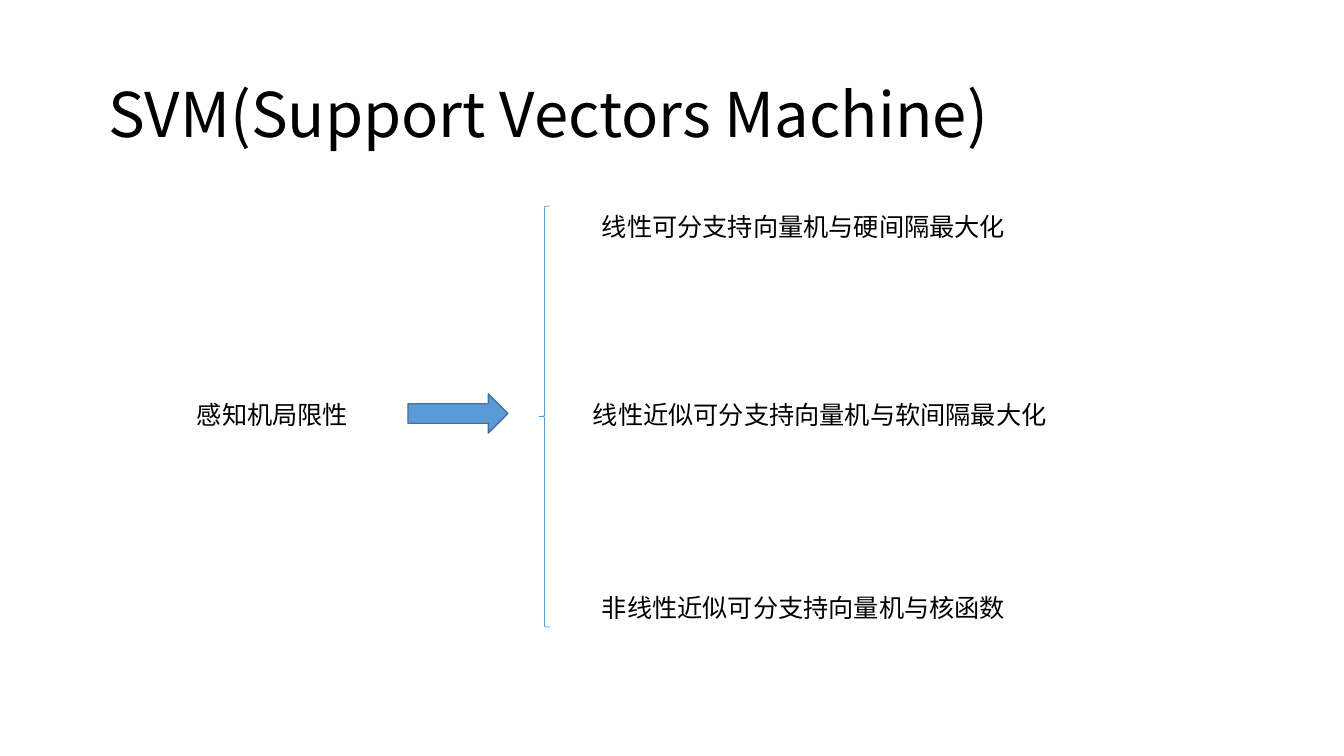
from lxml import etree
from pptx import Presentation
from pptx.dml.color import RGBColor
from pptx.enum.shapes import MSO_SHAPE
from pptx.enum.text import MSO_ANCHOR, PP_ALIGN
from pptx.oxml.ns import qn
from pptx.util import Pt

# Content
TITLE = "SVM(Support Vectors Machine)"
TITLE_AREA = (98, 45, 1159, 146)
LABEL_HEIGHT = 40
LABELS = [  # text, left, top, width
    ("线性可分支持向量机与硬间隔最大化", 592, 206, 450),
    ("线性近似可分支持向量机与软间隔最大化", 583, 394, 479),
    ("非线性近似可分支持向量机与核函数", 592, 587, 427),
    ("感知机局限性", 187, 394, 198),
]
BRACE_AREA = (539, 206, 11, 421)
ARROW_AREA = (408, 394, 100, 39)

# Style
FONT = "Noto Sans CJK SC"
BLACK, BLUE, DARK_BLUE = "000000", "5B9BD5", "43739E"
LEFT, MIDDLE, TOP = PP_ALIGN.LEFT, MSO_ANCHOR.MIDDLE, MSO_ANCHOR.TOP
BRACE, ARROW = MSO_SHAPE.LEFT_BRACE, MSO_SHAPE.RIGHT_ARROW
TITLE_ONLY = 5
EMU_PER_PX = 914400 / 100.8


def px(length):
    return round(length * EMU_PER_PX)


def color(hex_code):
    return RGBColor.from_string(hex_code)


def write(box, text, size, anchor):
    frame = box.text_frame
    frame.word_wrap = True
    frame.vertical_anchor = anchor
    para = frame.paragraphs[0]
    para.alignment = LEFT
    span = para.add_run()
    span.text = text
    span.font.size = Pt(size)
    span.font.name = FONT
    span.font.color.rgb = color(BLACK)
    # East Asian typeface for the Chinese characters
    latin = span.font._element.find(qn("a:latin"))
    east_asian = etree.Element(qn("a:ea"), typeface=FONT)
    latin.addnext(east_asian)
    return para


def add_outline(page, kind, area, line, weight):
    shape = page.shapes.add_shape(kind, *map(px, area))
    shape.shadow.inherit = False
    shape.fill.background()
    shape.line.color.rgb = color(line)
    shape.line.width = Pt(weight)
    return shape


def main():
    deck = Presentation()
    deck.slide_width, deck.slide_height = px(1344), px(756)
    page = deck.slides.add_slide(deck.slide_layouts[TITLE_ONLY])

    # Title
    title = page.shapes.title
    title.left, title.top, title.width, title.height = map(px, TITLE_AREA)
    write(title, TITLE, 44, MIDDLE).line_spacing = 0.9

    # Brace and arrow
    add_outline(page, BRACE, BRACE_AREA, BLUE, 0.5)
    arrow = add_outline(page, ARROW, ARROW_AREA, DARK_BLUE, 1)
    arrow.fill.solid()
    arrow.fill.fore_color.rgb = color(BLUE)

    # Labels
    for text, left, top, width in LABELS:
        area = (left, top, width, LABEL_HEIGHT)
        write(page.shapes.add_textbox(*map(px, area)), text, 18, TOP)

    deck.save("out.pptx")


if __name__ == "__main__":
    main()
